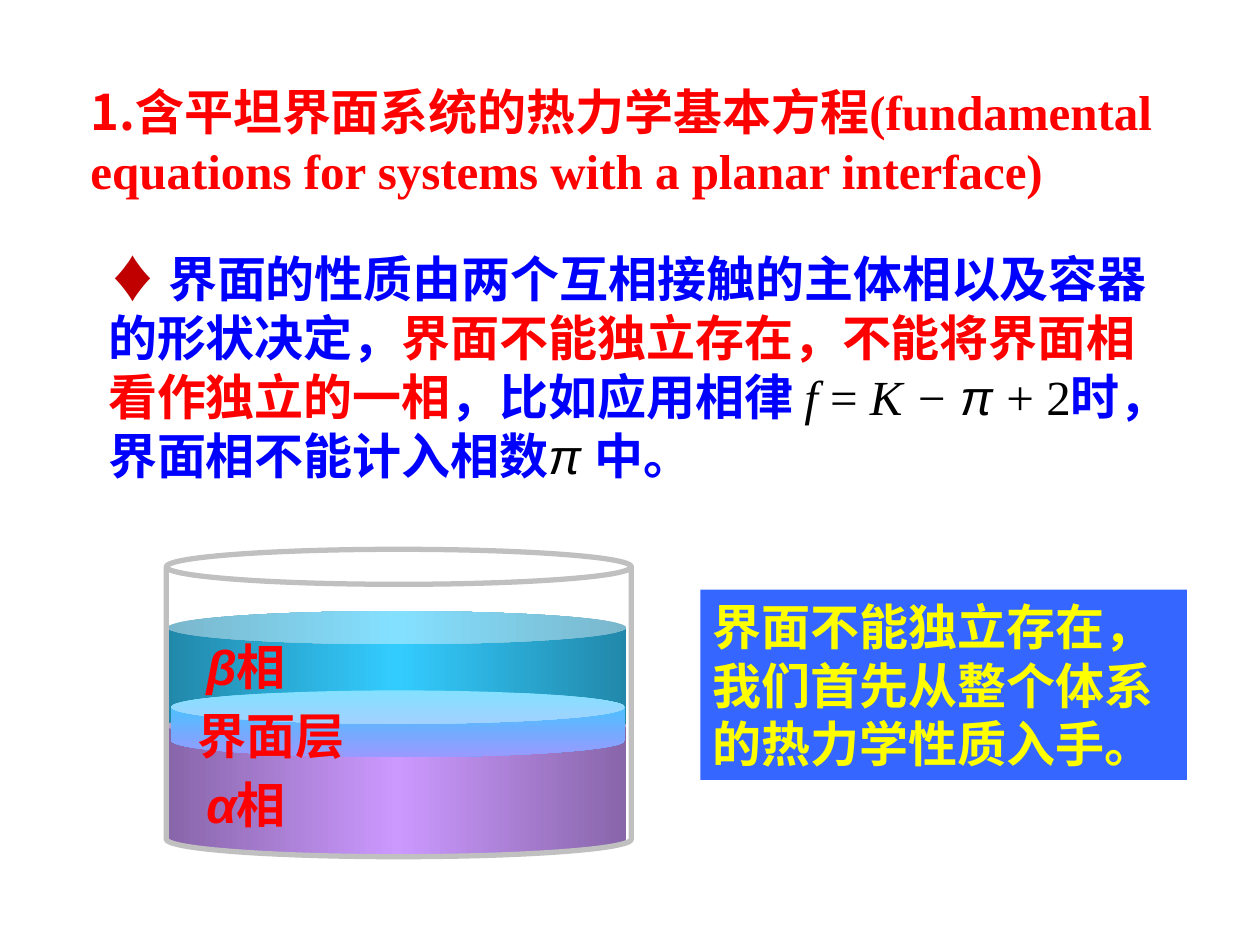
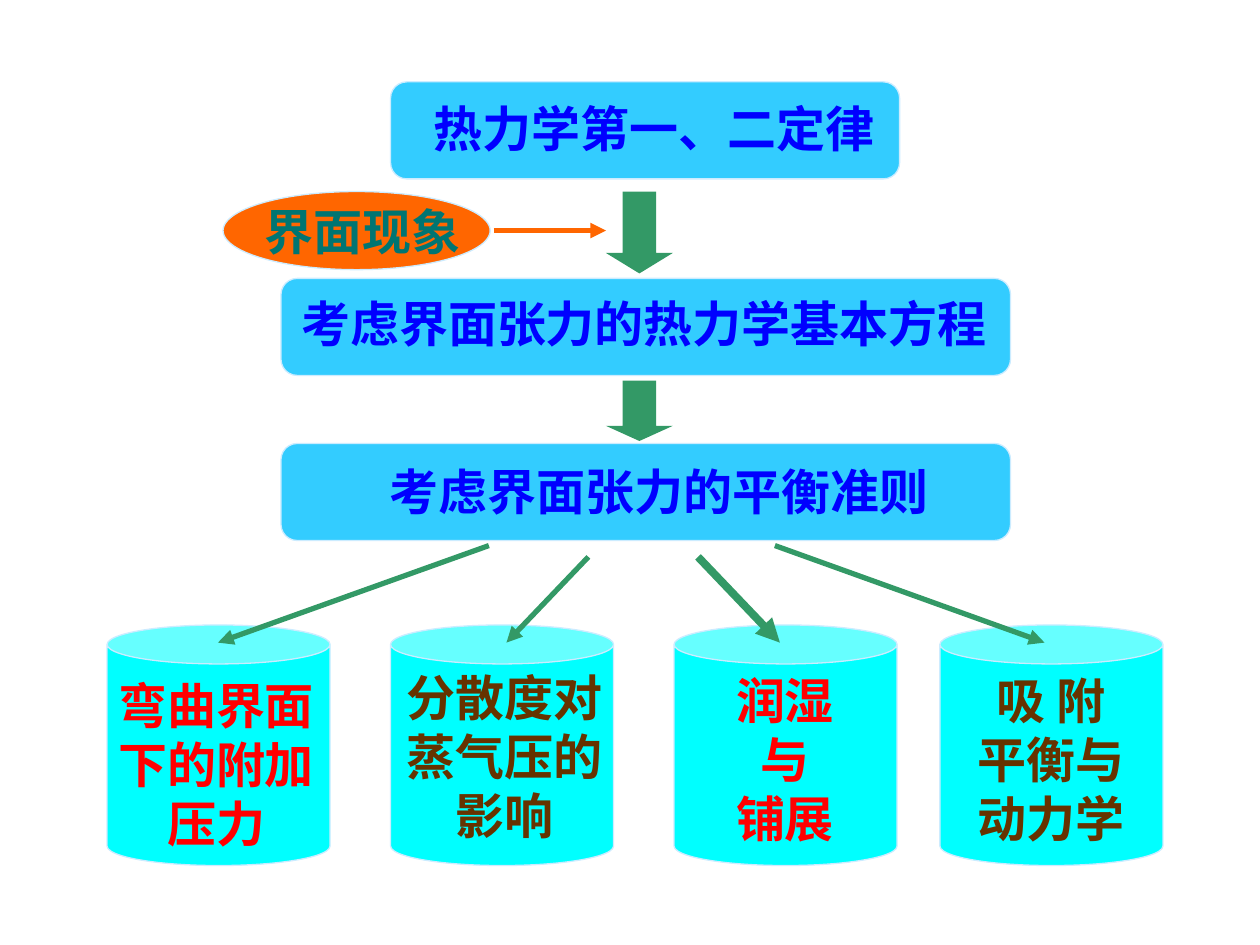
from lxml import etree
from pptx import Presentation
from pptx.dml.color import RGBColor
from pptx.enum.shapes import MSO_CONNECTOR, MSO_SHAPE
from pptx.enum.text import MSO_ANCHOR, PP_ALIGN
from pptx.oxml import parse_xml
from pptx.oxml.ns import nsdecls, qn
from pptx.util import Inches, Pt

CAN, OVAL, RECTANGLE = MSO_SHAPE.CAN, MSO_SHAPE.OVAL, MSO_SHAPE.RECTANGLE
PROCESS, DOWN_ARROW = MSO_SHAPE.FLOWCHART_ALTERNATE_PROCESS, MSO_SHAPE.DOWN_ARROW
STRAIGHT = MSO_CONNECTOR.STRAIGHT
TOP, MIDDLE = MSO_ANCHOR.TOP, MSO_ANCHOR.MIDDLE
LEFT, CENTER = PP_ALIGN.LEFT, PP_ALIGN.CENTER

HAN, SERIF, SANS = "Noto Sans CJK SC", "Times New Roman", "Arial"
RED, BLUE, BLACK, BROWN, YELLOW = "FF0000", "0000FF", "000000", "663300", "FFFF00"
GREEN, ORANGE, SKY, CYAN, PALE = "339966", "FF6600", "33CCFF", "00FFFF", "CCECFF"
TEXT_SIZE, LINE_PITCH = 28, 33.7

SYMBOL = dict(color=BLACK, bold=False, italic=True, font=SERIF)
NUMBER = dict(color=BLACK, bold=False, font=SERIF)
GREEK = dict(color=BLACK, bold=False, italic=True)

TITLE = [
    ("1.含平坦界面系统的热力学基本方程", dict(font=HAN)),
    ("(fundamental equations for systems with a planar interface)", {}),
]
STATEMENT = [
    ("♦ ", dict(color="C00000")),
    ("界面的性质由两个互相接触的主体相以及容器的形状决定，", {}),
    ("界面不能独立存在，不能将界面相看作独立的一相", dict(color=RED)),
    ("，比如应用相律 ", {}),
    ("f ", SYMBOL),
    ("= ", NUMBER),
    ("K − ", SYMBOL),
    ("π ", GREEK),
    ("+ 2", NUMBER),
    ("时，界面相不能计入相数", {}),
    ("π ", GREEK),
    ("中。", {}),
]
CONCLUSION = "界面不能独立存在，我们首先从整个体系的热力学性质入手。"

VESSEL = [
    ((1.33, 4.85, 3.64, 1.05), 0.25, ["2288AA", SKY, "2288AA"], 0, None),
    ((1.33, 5.61, 3.64, 1.2), 0.25, ["8866AA", "CC99FF", "8866AA"], 0, None),
    ((1.32, 4.36, 3.69, 2.44), 0.114, None, 0, "C0C0C0"),
    ((1.36, 5.48, 3.6, 0.53), 0.5, [SKY, "9999FF"], 90, None),
]
ITALIC_SANS = dict(font=SANS, italic=True)
PHASES = [
    ((1.54, 5, 0.93, 0.57), [("β", ITALIC_SANS), ("相", {})]),
    ((1.54, 6.1, 0.93, 0.57), [("α", ITALIC_SANS), ("相", {})]),
    ((1.47, 5.55, 1.5, 0.57), [("界面层", {})]),
]

STEPS = [
    ("热力学第一、二定律", (3.1, 0.65, 4.04, 0.77), (2.7, 0.73, 4.98, 0.57)),
    ("考虑界面张力的热力学基本方程", (2.23, 2.21, 5.79, 0.77), (2.27, 2.28, 5.68, 0.57)),
    ("考虑界面张力的平衡准则", (2.23, 3.52, 5.79, 0.77), (2.98, 3.61, 4.5, 0.57)),
]
STEP_ARROWS = [(1.52, 0.65, 0.306), (3.02, 0.48, 0.25)]
TOPICS = [
    (0.85, ["弯曲界面下的附加压力"], RED, (0.83, 5.31, 1.77, 1.5)),
    (3.1, ["分散度对蒸气压的影响"], BROWN, (3.09, 5.25, 1.83, 1.5)),
    (5.35, ["润湿", "与", "铺展"], RED, (5.74, 5.27, 0.98, 1.5)),
    (7.46, ["吸 附", "平衡与动力学"], BROWN, (7.47, 5.27, 1.74, 1.5)),
]
LINKS = [
    ((3.88, 4.33), (1.73, 5.1), GREEN, 3),
    ((4.67, 4.42), (4.02, 5.1), GREEN, 3),
    ((5.54, 4.42), (6.19, 5.1), GREEN, 4.5),
    ((6.15, 4.33), (8.29, 5.1), GREEN, 3),
    ((3.92, 1.83), (4.81, 1.83), ORANGE, 3),
]


def rgb(value):
    return RGBColor.from_string(value)


def inches(values):
    return [Inches(value) for value in values]


def write(frame, paragraphs, color=RED, font=SERIF, align=LEFT, anchor=TOP,
          wrap=True, inset=0.05):
    frame.word_wrap = wrap
    frame.vertical_anchor = anchor
    frame.margin_left = frame.margin_right = Inches(0.1)
    frame.margin_top = frame.margin_bottom = Inches(inset)
    for index, spans in enumerate(paragraphs):
        para = frame.add_paragraph() if index else frame.paragraphs[0]
        para.alignment = align
        para.line_spacing = Pt(LINE_PITCH)
        for text, style in spans:
            span = para.add_run()
            span.text = text
            span.font.size = Pt(TEXT_SIZE)
            span.font.bold = style.get("bold", True)
            span.font.italic = style.get("italic", False)
            span.font.color.rgb = rgb(style.get("color", color))
            span.font.name = style.get("font", font)
            latin = span.font._element.find(qn("a:latin"))
            east_asian = etree.Element(qn("a:ea"), typeface=HAN)
            latin.addnext(east_asian)


def add_text(shapes, place, paragraphs, **style):
    box = shapes.add_textbox(*inches(place))
    write(box.text_frame, paragraphs, **style)


def fill_gradient(shape, colors, angle):
    shape.fill.gradient()
    stops = "".join(
        f'<a:gs pos="{100000 * index // (len(colors) - 1)}"><a:srgbClr val="{color}"/></a:gs>'
        for index, color in enumerate(colors))
    gradient = parse_xml(
        f'<a:gradFill {nsdecls("a")} rotWithShape="1"><a:gsLst>{stops}</a:gsLst>'
        f'<a:lin ang="{angle * 60000}" scaled="1"/></a:gradFill>')
    properties = shape._element.spPr
    properties.replace(properties.find(qn("a:gradFill")), gradient)


def add_shape(shapes, kind, place, fill=None, line=None, width=0.75, adjust=(), angle=0):
    shape = shapes.add_shape(kind, *inches(place))
    shape.shadow.inherit = False
    for index, value in enumerate(adjust):
        shape.adjustments[index] = value
    if fill is None:
        shape.fill.background()
    elif isinstance(fill, list):
        fill_gradient(shape, fill, angle)
    else:
        shape.fill.solid()
        shape.fill.fore_color.rgb = rgb(fill)
    if line:
        shape.line.color.rgb = rgb(line)
        shape.line.width = Pt(width)
    else:
        shape.line.fill.background()
    return shape


def add_arrow(shapes, start, end, color, width):
    arrow = shapes.add_connector(STRAIGHT, *inches(start + end))
    arrow.line.color.rgb = rgb(color)
    arrow.line.width = Pt(width)
    etree.SubElement(arrow.line._get_or_add_ln(), qn("a:tailEnd"), type="triangle")
    etree.SubElement(arrow._element.spPr, qn("a:effectLst"))


def build_interface_page(page):
    shapes = page.shapes
    add_text(shapes, (0.62, 0.59, 9.13, 1.04), [TITLE], anchor=MIDDLE)
    add_text(shapes, (0.76, 1.97, 8.48, 1.89), [STATEMENT], color=BLUE, font=SANS, inset=0)
    vessel = shapes.add_group_shape().shapes
    for place, depth, fill, angle, line in VESSEL:
        add_shape(vessel, CAN, place, fill, line, width=3, adjust=[depth], angle=angle)
    for place, spans in PHASES:
        add_text(vessel, place, [spans])
    panel = add_shape(shapes, RECTANGLE, (5.56, 4.68, 3.86, 1.51), "3566FF")
    write(panel.text_frame, [[(CONCLUSION, {})]], color=YELLOW, font=HAN)


def build_roadmap_page(page):
    shapes = page.shapes
    label = dict(align=CENTER, anchor=MIDDLE)
    for text, place, text_place in STEPS:
        add_shape(shapes, PROCESS, place, SKY, PALE)
        add_text(shapes, text_place, [[(text, {})]], color=BLUE, wrap=False, **label)
    add_shape(shapes, OVAL, (1.77, 1.52, 2.12, 0.62), ORANGE, PALE)
    add_text(shapes, (1.99, 1.55, 1.77, 0.57), [[("界面现象", {})]],
             color="007572", font=HAN, wrap=False, **label)
    for left, lines, color, text_place in TOPICS:
        add_shape(shapes, CAN, (left, 4.96, 1.77, 1.91), CYAN, PALE, adjust=[0.175])
        add_text(shapes, text_place, [[(line, {})] for line in lines], color=color, **label)
    for top, height, head in STEP_ARROWS:
        add_shape(shapes, DOWN_ARROW, (4.81, top, 0.53, height), GREEN, adjust=[0.5, head])
    for link in LINKS:
        add_arrow(shapes, *link)


def main():
    deck = Presentation()
    deck.slide_width, deck.slide_height = Inches(10), Inches(7.5)
    for build in (build_interface_page, build_roadmap_page):
        build(deck.slides.add_slide(deck.slide_layouts[6]))
    deck.save("out.pptx")


if __name__ == "__main__":
    main()
